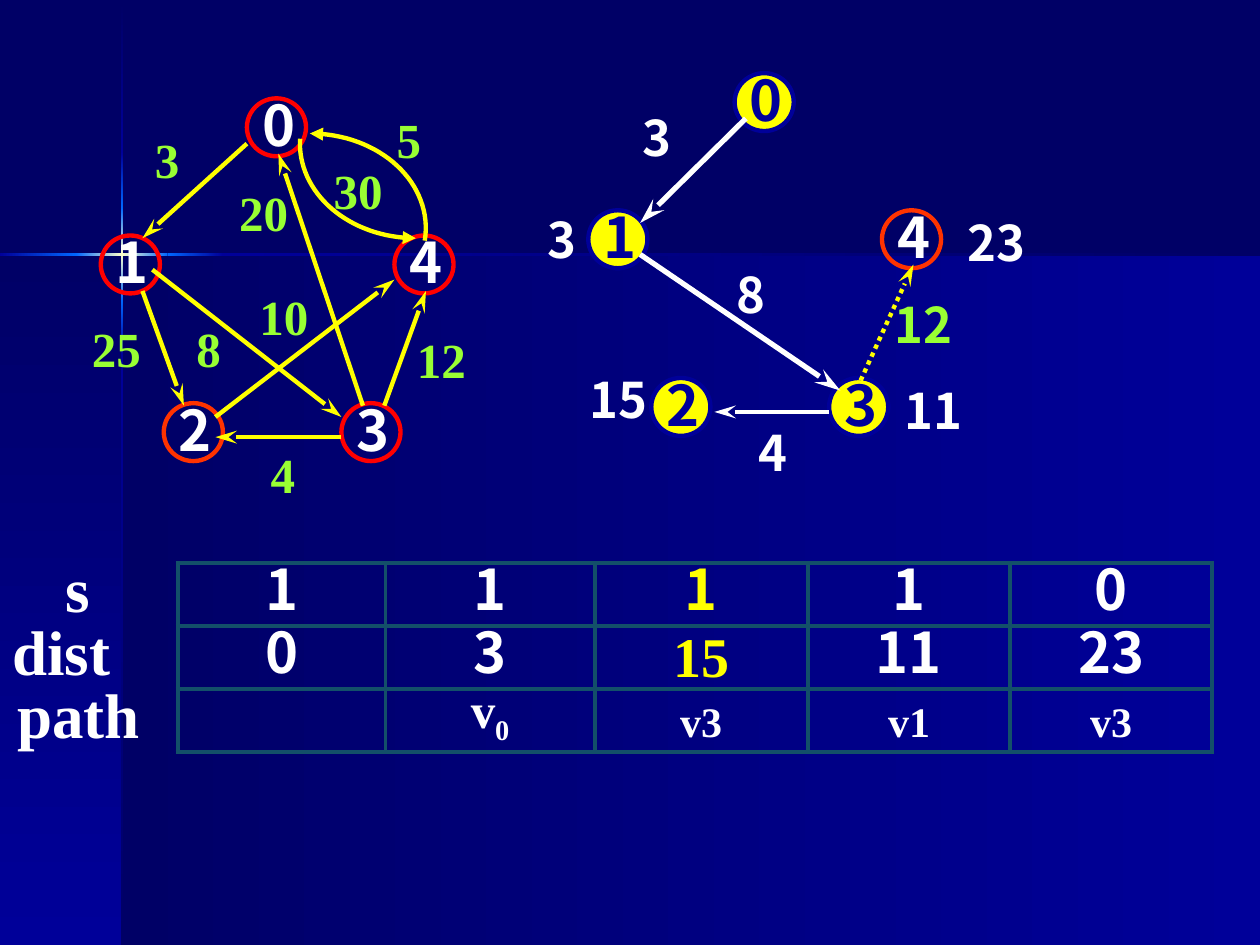
from dataclasses import dataclass
from math import cos, radians, sin

from pptx import Presentation
from pptx.dml.color import RGBColor
from pptx.enum.dml import MSO_LINE
from pptx.enum.shapes import MSO_CONNECTOR, MSO_SHAPE
from pptx.enum.text import MSO_ANCHOR, PP_ALIGN
from pptx.oxml import parse_xml
from pptx.oxml.ns import nsdecls
from pptx.util import Pt


@dataclass(frozen=True)
class Theme:
    night: str = "000066"
    navy: str = "000099"
    blue: str = "0066FF"
    glow: str = "FFFFCC"
    white: str = "FFFFFF"
    yellow: str = "FFFF00"
    green: str = "99FF33"
    red: str = "FF0000"
    orange: str = "FF3300"
    grid: str = "135069"
    sans: str = "Noto Sans CJK SC"
    serif: str = "Times New Roman"
    title_size: int = 36
    node_size: int = 32
    label_size: int = 28
    small_size: int = 24
    line_width: float = 2.5


THEME = Theme()
# Line height per point of type, which puts the baseline one type size down
LINE_FACTOR = {THEME.sans: 1.29, THEME.serif: 1.22}
NODE_WIDTH, NODE_HEIGHT = 33.8, 33.1


def rgb(color):
    return RGBColor.from_string(color)


def points(*values):
    return [Pt(value) for value in values]


def style_paragraph(para, size, font, color, line_height):
    para.line_spacing = Pt(line_height)
    para.font.size = Pt(size)
    para.font.name = font
    para.font.bold = True
    para.font.color.rgb = rgb(color)


def add_text(page, text, left, top, width, height, size, font, color, align=PP_ALIGN.LEFT):
    box = page.shapes.add_textbox(*points(left, top, width, height))
    box.text_frame.word_wrap = True
    para = box.text_frame.paragraphs[0]
    para.alignment = align
    para.add_run().text = text
    style_paragraph(para, size, font, color, round(size * LINE_FACTOR[font], 2))


def add_label(page, text, left, top, font, color):
    add_text(page, text, left, top, 18 + 18 * len(text), 41, THEME.label_size, font, color)


def add_node(page, text, left, top, line, fill=None):
    circle = page.shapes.add_shape(MSO_SHAPE.OVAL, *points(left, top, NODE_WIDTH, NODE_HEIGHT))
    circle.shadow.inherit = False
    circle.line.color.rgb = rgb(line)
    circle.line.width = Pt(THEME.line_width)
    if fill:
        circle.fill.solid()
        circle.fill.fore_color.rgb = rgb(fill)
    else:
        circle.fill.background()
    add_text(page, text, left + 1.6, top - 10.7, 24.5, 45.4, THEME.node_size, THEME.sans,
             THEME.navy if fill else THEME.white, PP_ALIGN.CENTER)


def add_edge(page, start, end, color, width=THEME.line_width, dash=None):
    edge = page.shapes.add_connector(MSO_CONNECTOR.STRAIGHT, *points(*start, *end))
    edge.line.color.rgb = rgb(color)
    edge.line.width = Pt(width)
    if dash:
        edge.line.dash_style = dash
    edge.line._get_or_add_ln().append(
        parse_xml(f'<a:tailEnd {nsdecls("a")} type="stealth" w="med" len="lg"/>'))
    edge._element.spPr.append(parse_xml(f'<a:effectLst {nsdecls("a")}/>'))


def add_arc(page, center, radii, first, last, steps=32):
    """Curved edge whose arrowhead sits at the first angle."""
    angles = [radians(first + (last - first) * step / steps) for step in range(steps + 1)]
    spots = [(Pt(center[0] + radii[0] * cos(angle)), Pt(center[1] + radii[1] * sin(angle)))
             for angle in angles]
    builder = page.shapes.build_freeform(*spots[0])
    builder.add_line_segments(spots[1:], close=False)
    arc = builder.convert_to_shape()
    arc.shadow.inherit = False
    arc.fill.background()
    arc.line.color.rgb = rgb(THEME.yellow)
    arc.line.width = Pt(THEME.line_width)
    arc.line._get_or_add_ln().append(parse_xml(f'<a:headEnd {nsdecls("a")} type="triangle"/>'))


def add_gradient_bar(page, left, top, width, height, colors, angle):
    bar = page.shapes.add_shape(MSO_SHAPE.RECTANGLE, *points(left, top, width, height))
    bar.shadow.inherit = False
    bar.line.fill.background()
    stops = "".join(
        f'<a:gs pos="{100000 * index // (len(colors) - 1)}"><a:srgbClr val="{color}"/></a:gs>'
        for index, color in enumerate(colors))
    bar._element.spPr.insert(2, parse_xml(
        f'<a:gradFill {nsdecls("a")} rotWithShape="1"><a:gsLst>{stops}</a:gsLst>'
        f'<a:lin ang="{angle * 60000}" scaled="0"/></a:gradFill>'))


def add_backdrop(page):
    page.background.fill.solid()
    page.background.fill.fore_color.rgb = rgb(THEME.night)
    fade, rise = (THEME.night, THEME.navy), (THEME.navy, THEME.blue)
    shine = (THEME.blue, THEME.glow, THEME.blue)
    # Panels
    add_gradient_bar(page, 69.8, 145.4, 650.2, 394.6, fade, 0)
    add_gradient_bar(page, 0, 145.4, 69.8, 394.6, fade, 90)
    # Upright beam, top to bottom
    for top, bottom, colors in [(0.7, 87.1, fade), (87.1, 118.8, rise), (118.8, 171.4, shine),
                                (171.4, 203, rise[::-1]), (203, 540, fade[::-1])]:
        add_gradient_bar(page, 69.1, top, 1.4, bottom - top, colors, 90)
    # Level beam, left to right
    for left, right, colors in [(0, 43.5, rise), (43.5, 95.8, shine),
                                (95.8, 127.4, rise[::-1]), (127.4, 720, fade[::-1])]:
        add_gradient_bar(page, left, 144.7, right - left, 1.4, colors, 0)


def add_weighted_graph(page):
    for text, left, top, line in [("0", 141.1, 56.2, THEME.red), ("1", 57.6, 134.6, THEME.red),
                                  ("2", 93.6, 230.4, THEME.orange), ("3", 195.1, 230.4, THEME.red),
                                  ("4", 225.4, 134.6, THEME.red)]:
        add_node(page, text, left, top, line)
    for text, left, top in [("3", 81.4, 69.8), ("25", 45.4, 177.8), ("8", 105.1, 177.8),
                            ("10", 141.1, 159.8), ("20", 129.6, 100.1), ("4", 147.6, 249.8),
                            ("5", 219.6, 58.3), ("30", 183.6, 87.8), ("12", 231.1, 184.3)]:
        add_label(page, text, left, top, THEME.serif, THEME.green)
    for start, end in [((81.4, 166.3), (105.1, 231.8)), ((195.1, 249.8), (123.1, 249.8)),
                       ((219.6, 231.8), (243.4, 166.3)), ((207.4, 231.8), (159.1, 87.8)),
                       ((87.1, 154.1), (195.1, 238.3)), ((123.1, 238.3), (225.4, 159.8)),
                       ((141.1, 82.1), (81.4, 136.1))]:
        add_edge(page, start, end, THEME.yellow)
    add_arc(page, (177.1, 130.3), (66.2, 54), -90, 7.7)
    add_arc(page, (237.6, 82.1), (66.2, 54), 90, 183)


def add_path_tree(page):
    for text, left, top in [("0", 419.8, 41.8), ("1", 336.2, 120.2),
                            ("2", 372.2, 216), ("3", 473.8, 216)]:
        add_node(page, text, left, top, THEME.navy, THEME.yellow)
    add_node(page, "4", 504, 120.2, THEME.orange)
    for text, left, top in [("3", 360, 55.4), ("8", 414, 145.4), ("4", 426.2, 235.4),
                            ("3", 306, 113.8), ("15", 329.8, 205.2), ("11", 509.8, 211.7),
                            ("23", 545.8, 115.2)]:
        add_label(page, text, left, top, THEME.sans, THEME.white)
    add_label(page, "12", 504, 162, THEME.sans, THEME.green)
    add_edge(page, (426.2, 67.7), (365.8, 127.4), THEME.white, 3)
    add_edge(page, (365.8, 145.4), (480.2, 223.2), THEME.white, 3)
    add_edge(page, (473.8, 235.4), (408.2, 235.4), THEME.white)
    add_edge(page, (491.8, 217.4), (522, 151.2), THEME.yellow, dash=MSO_LINE.ROUND_DOT)


def set_cell(cell, text, size, font, color, line_height):
    cell.fill.background()
    cell.margin_left = cell.margin_right = cell.margin_top = cell.margin_bottom = 0
    cell.vertical_anchor = MSO_ANCHOR.MIDDLE
    para = cell.text_frame.paragraphs[0]
    para.alignment = PP_ALIGN.CENTER
    main_text, _, subscript = text.partition("_")
    if main_text:
        para.add_run().text = main_text
    if subscript:
        span = para.add_run()
        span.text = subscript
        span._r.get_or_add_rPr().set("baseline", "-25000")
    style_paragraph(para, size, font, color, line_height)
    for index, side in enumerate(("lnL", "lnR", "lnT", "lnB")):
        cell._tc.get_or_add_tcPr().insert(index, parse_xml(
            f'<a:{side} {nsdecls("a")} w="{Pt(THEME.line_width)}"><a:solidFill>'
            f'<a:srgbClr val="{THEME.grid}"/></a:solidFill></a:{side}>'))


def add_state_table(page):
    # Row titles
    for text, left, top, width in [("s", 30.2, 309.6, 47.5), ("dist", 0, 345.6, 101.5),
                                   ("path", 2.9, 381.6, 101.5)]:
        add_text(page, text, left, top, width, 50.4, THEME.title_size, THEME.serif, THEME.white)
    # Grid and values
    rows = [["1", "1", "1", "1", "0"], ["0", "3", "15", "11", "23"], ["", "v_0", "v3", "v1", "v3"]]
    widths = [118.8, 119.5, 121.7, 115.9, 115.2]
    row_height, changed = 36, 2
    table = page.shapes.add_table(len(rows), len(widths), *points(
        101.5, 321.8, sum(widths), row_height * len(rows))).table
    table.first_row = table.horz_banding = False
    for column, width in zip(table.columns, widths):
        column.width = Pt(width)
    for row, texts in enumerate(rows):
        table.rows[row].height = Pt(row_height)
        for column, text in enumerate(texts):
            cell = table.cell(row, column)
            if row == 2:
                size = THEME.label_size if "_" in text else THEME.small_size
                set_cell(cell, text, size, THEME.serif, THEME.white, 30)
            else:
                font = THEME.serif if text == "15" else THEME.sans
                color = THEME.yellow if column == changed else THEME.white
                set_cell(cell, text, THEME.node_size, font, color, row_height)


def main():
    deck = Presentation()
    deck.slide_width, deck.slide_height = points(720, 540)
    page = deck.slides.add_slide(deck.slide_layouts[6])
    add_backdrop(page)
    add_path_tree(page)
    add_weighted_graph(page)
    add_state_table(page)
    deck.save("out.pptx")


if __name__ == "__main__":
    main()
